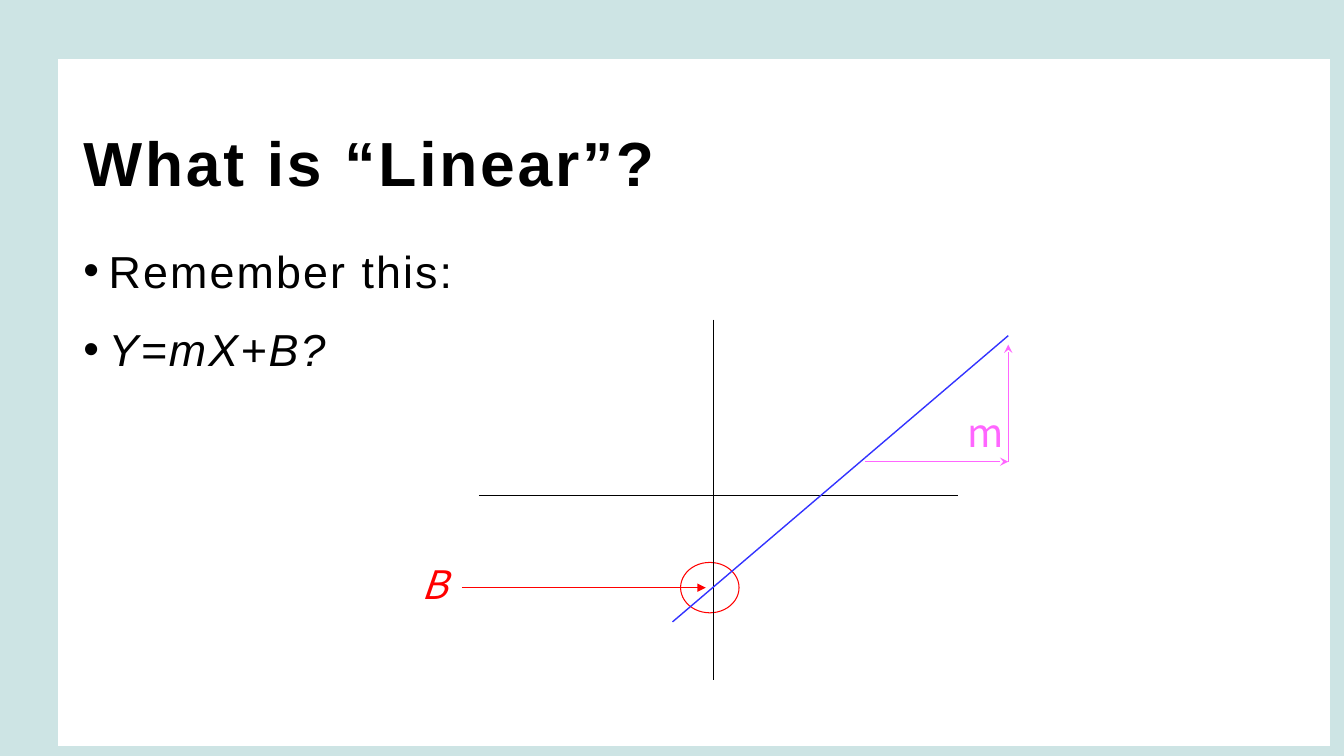
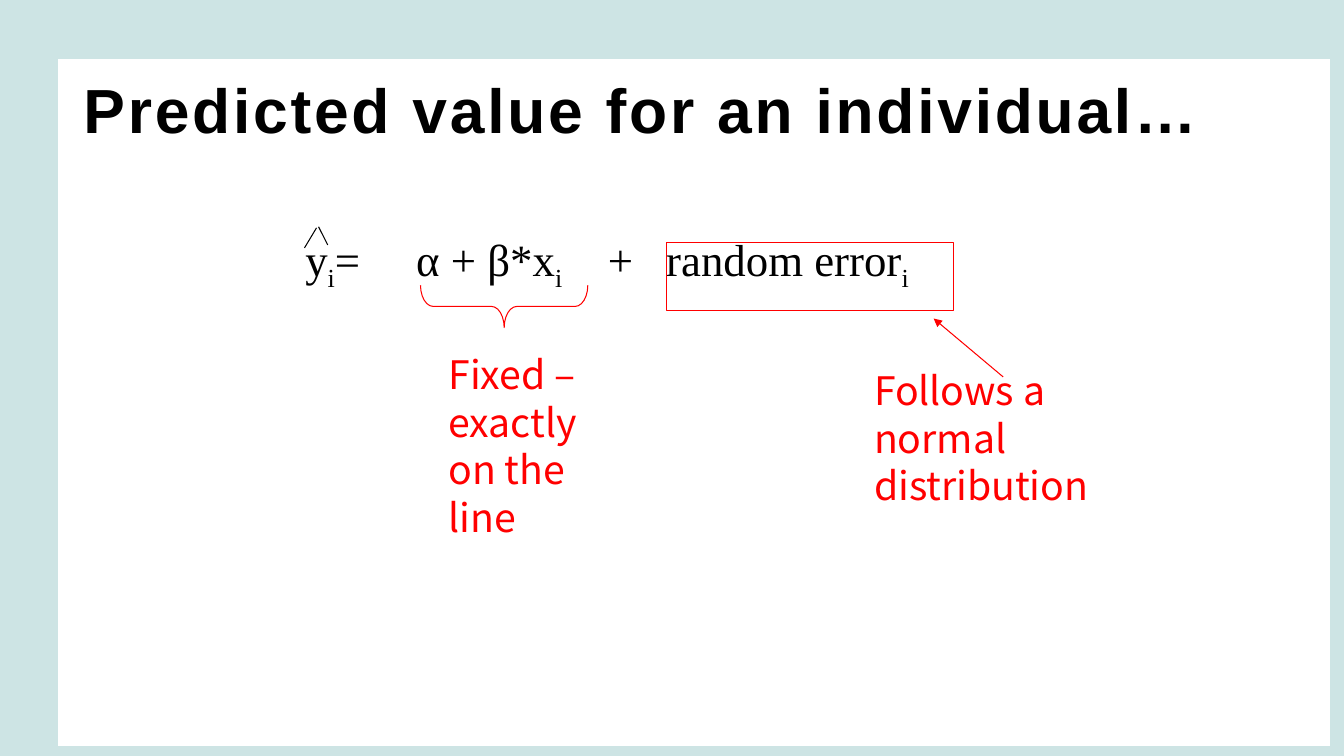
from lxml import etree
from pptx import Presentation
from pptx.dml.color import RGBColor
from pptx.enum.shapes import MSO_CONNECTOR, MSO_SHAPE
from pptx.enum.text import MSO_ANCHOR
from pptx.oxml.ns import qn
from pptx.util import Pt

PX = 9144  # 100 px to the inch
HUES = {"mint": "CDE4E4", "white": "FFFFFF", "black": "000000",
        "blue": "3333FF", "red": "FF0000", "pink": "FF66FF"}
HEAD = {"name": "Arial", "size": Pt(44.5), "bold": True}
BODY = {"name": "Arial", "size": Pt(32)}
MATH = {"name": "Times New Roman", "size": Pt(32)}
NOTE = {"name": "Noto Sans CJK SC", "size": Pt(28)}


def hue(key):
    return RGBColor.from_string(HUES[key])


def write(slide, box, paras, font, tone="black", para=None, **marks):
    """Add a text box; each paragraph is a list of (text, run marks, font extras)."""
    frame = slide.shapes.add_textbox(*[n * PX for n in box]).text_frame
    frame.word_wrap = True
    for num, parts in enumerate(paras):
        line = frame.add_paragraph() if num else frame.paragraphs[0]
        for key, value in (para or {}).items():
            setattr(line, key, value)
        for words, extra, style in parts:
            run = line.add_run()
            run.text = words
            for key, value in {**font, **style}.items():
                setattr(run.font, key, value)
            run.font.color.rgb = hue(tone)
            for key, value in {**marks, **extra}.items():
                run._r.get_or_add_rPr().set(key, str(value))
    return frame


deck = Presentation()
deck.slide_width, deck.slide_height = 1333 * PX, 750 * PX

# Shared ground, panel and title
pages = []
for title, box in [("What is “Linear”?", (73, 86, 1187, 116)),
                   ("Predicted value for an individual…", (73, 48, 1187, 102))]:
    page = deck.slides.add_slide(deck.slide_layouts[6])
    page.background.fill.solid()
    page.background.fill.fore_color.rgb = hue("mint")
    panel = page.shapes.add_shape(MSO_SHAPE.RECTANGLE, 56 * PX, 57 * PX,
                                  1265 * PX, 685 * PX)
    panel.shadow.inherit = False
    panel.fill.solid()
    panel.fill.fore_color.rgb = hue("white")
    panel.line.color.rgb = hue("mint")
    panel.line.width = Pt(2)
    frame = write(page, box, [[(title, {}, {})]], HEAD, spc=200)
    frame.vertical_anchor = MSO_ANCHOR.BOTTOM
    pages.append(page)
plot, model = pages

# Bullets
frame = write(plot, (73, 226, 1187, 468),
              [[("Remember this:", {}, {})],
               [("Y=mX+B?", {}, {"italic": True})]],
              BODY, para={"line_spacing": 1.2, "space_after": Pt(10)}, spc=150)
for line in frame.paragraphs:
    props = line._p.get_or_add_pPr()
    props.set("marL", str(25 * PX))
    props.set("indent", str(-25 * PX))
    etree.SubElement(props, qn("a:buFont")).set("typeface", "Arial")
    etree.SubElement(props, qn("a:buChar")).set("char", "•")

# Equation, with its terms on tab stops
low = {"baseline": -25000}
frame = write(model, (293, 225, 850, 450),
              [[("y", {}, {}), ("i", low, {}), ("=\tα + β*x", {}, {}),
                ("i", low, {}), ("\t+\trandom error", {}, {}), ("i", low, {})]],
              MATH)
tabs = etree.SubElement(frame.paragraphs[0]._p.get_or_add_pPr(), qn("a:tabLst"))
for stop in (110, 300, 358):
    tab = etree.SubElement(tabs, qn("a:tab"))
    tab.set("pos", str(stop * PX))
    tab.set("algn", "l")

# Red outlines
for page, kind, box, turn in [
        (plot, MSO_SHAPE.OVAL, (675, 558, 58, 50), 0),
        (model, MSO_SHAPE.RECTANGLE, (661, 241, 285, 67), 0),
        (model, MSO_SHAPE.RIGHT_BRACE, (479, 221, 42, 166), 90)]:
    shape = page.shapes.add_shape(kind, *[n * PX for n in box])
    shape.shadow.inherit = False
    shape.fill.background()
    shape.line.color.rgb = hue("red")
    shape.line.width = Pt(0.75)
    shape.rotation = turn
    if kind == MSO_SHAPE.RIGHT_BRACE:
        shape.adjustments[0] = 0.3

# Axes, slopes, arrows and the hat over y
for page, ends, tone, width, tip in [
        (plot, (708, 317, 708, 675), "black", 0.75, None),
        (plot, (475, 492, 950, 492), "black", 0.75, None),
        (plot, (667, 617, 1000, 333), "blue", 1, None),
        (plot, (458, 583, 700, 583), "red", 0.75, "triangle"),
        (plot, (858, 458, 1000, 458), "pink", 0.75, "stealth"),
        (plot, (1000, 458, 1000, 342), "pink", 0.75, "stealth"),
        (model, (995, 374, 926, 316), "red", 0.75, "triangle"),
        (model, (302, 246, 314, 226), "black", 0.75, None),
        (model, (316, 225, 325, 243), "black", 0.75, None)]:
    link = page.shapes.add_connector(MSO_CONNECTOR.STRAIGHT,
                                     *[n * PX for n in ends])
    link.line.color.rgb = hue(tone)
    link.line.width = Pt(width)
    if tip:
        etree.SubElement(link.line._get_or_add_ln(), qn("a:tailEnd")).set("type", tip)
    etree.SubElement(link._element.spPr, qn("a:effectLst"))

# Labels
for page, box, words, tone, style in [
        (plot, (408, 550, 75, 57), "B", "red", {"italic": True}),
        (plot, (950, 400, 100, 57), "m", "pink", {}),
        (model, (857, 358, 295, 151), "Follows a normal distribution", "red", {}),
        (model, (435, 342, 157, 198), "Fixed – exactly on the line", "red", {})]:
    write(page, box, [[(words, {}, style)]], NOTE, tone,
          {"line_spacing": Pt(34)})

deck.save("out.pptx")
